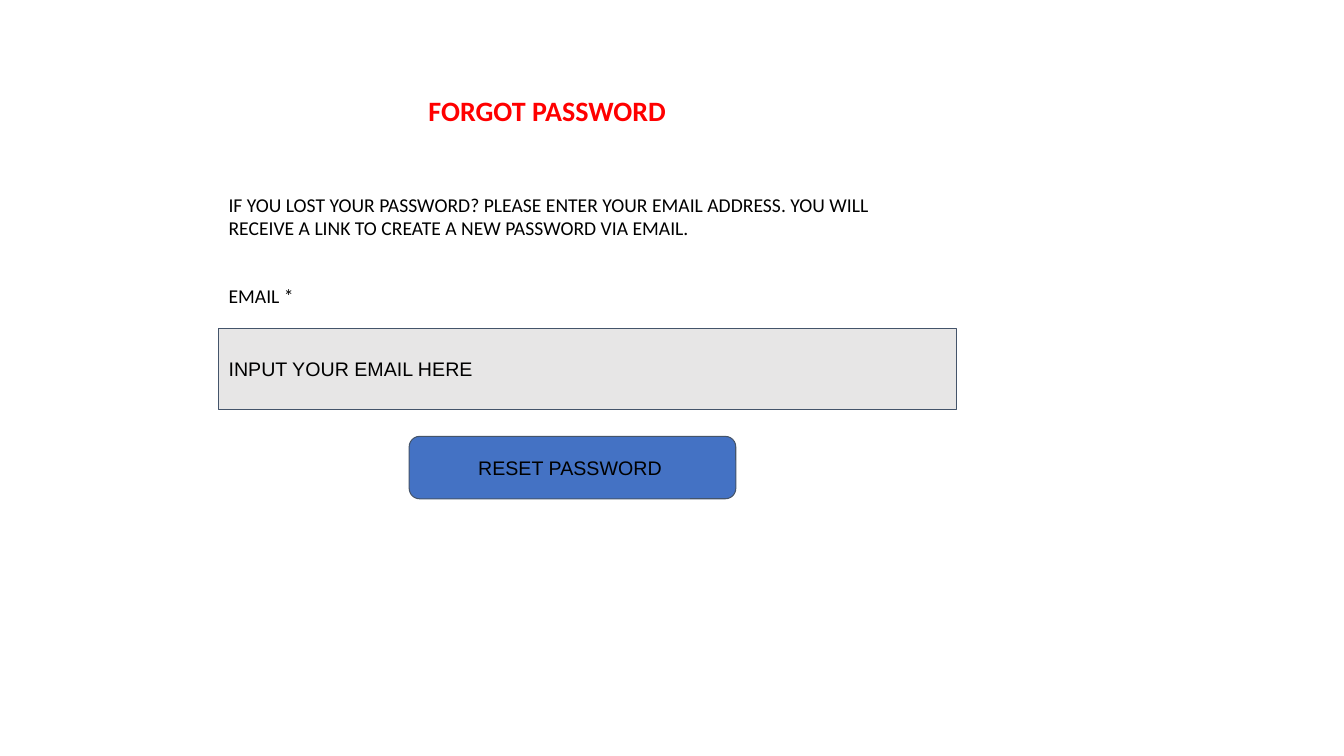
from dataclasses import dataclass

from pptx import Presentation
from pptx.dml.color import RGBColor
from pptx.enum.shapes import MSO_SHAPE
from pptx.enum.text import MSO_ANCHOR, MSO_AUTO_SIZE, PP_ALIGN
from pptx.util import Pt


@dataclass(frozen=True)
class Theme:
    heading: RGBColor = RGBColor(0xFF, 0x00, 0x00)
    text: RGBColor = RGBColor(0x00, 0x00, 0x00)
    field: RGBColor = RGBColor(0xE7, 0xE6, 0xE6)
    button: RGBColor = RGBColor(0x44, 0x72, 0xC4)
    outline: RGBColor = RGBColor(0x44, 0x54, 0x6A)
    label_font: str = "Calibri"
    control_font: str = "Arial"
    heading_size: float = 20
    text_size: float = 14
    line_width: float = 0.75
    inset: float = 7.2


THEME = Theme()


@dataclass(frozen=True)
class Box:
    left: float
    top: float
    width: float
    height: float

    def inner(self, left, top, width, height):
        """Return a box placed relative to this one."""
        return Box(self.left + left, self.top + top, width, height)

    def lengths(self):
        return Pt(self.left), Pt(self.top), Pt(self.width), Pt(self.height)


def write_text(shape, text, font_name, size=THEME.text_size, color=THEME.text,
               bold=False, anchor=MSO_ANCHOR.TOP):
    frame = shape.text_frame
    frame.word_wrap = True
    frame.auto_size = MSO_AUTO_SIZE.NONE
    frame.vertical_anchor = anchor
    frame.margin_left = frame.margin_right = Pt(THEME.inset)
    frame.margin_top = frame.margin_bottom = Pt(THEME.inset)
    frame.text = text
    paragraph = frame.paragraphs[0]
    paragraph.alignment = PP_ALIGN.LEFT
    paragraph.font.name = font_name
    paragraph.font.size = Pt(size)
    paragraph.font.bold = bold
    paragraph.font.color.rgb = color
    return paragraph


def add_label(slide, box, text):
    label = slide.shapes.add_textbox(*box.lengths())
    write_text(label, text, THEME.label_font)


def add_control(slide, box, preset, fill, text):
    control = slide.shapes.add_shape(preset, *box.lengths())
    control.shadow.inherit = False
    control.fill.solid()
    control.fill.fore_color.rgb = fill
    control.line.color.rgb = THEME.outline
    control.line.width = Pt(THEME.line_width)
    return write_text(control, text, THEME.control_font, anchor=MSO_ANCHOR.MIDDLE)


def place_title(slide, box):
    title = slide.shapes.title
    title.left, title.top, title.width, title.height = box.lengths()
    write_text(title, "FORGOT PASSWORD", THEME.label_font, THEME.heading_size,
               THEME.heading, bold=True)


def add_reset_form(slide, box):
    # Instructions and field label
    add_label(slide, box.inner(0, 0, 480.2, 48.2),
              "IF YOU LOST YOUR PASSWORD? PLEASE ENTER YOUR EMAIL ADDRESS. "
              "YOU WILL RECEIVE A LINK TO CREATE A NEW PASSWORD VIA EMAIL.")
    add_label(slide, box.inner(0, 65.5, 198, 31.7), "EMAIL *")

    # Email field
    add_control(slide, box.inner(0, 104.4, box.width, 57.6), MSO_SHAPE.RECTANGLE,
                THEME.field, "INPUT YOUR EMAIL HERE")

    # Reset button, its caption indented from the left edge
    caption = add_control(slide, box.inner(136.1, 181.4, 233.3, 44.6),
                          MSO_SHAPE.ROUNDED_RECTANGLE, THEME.button,
                          "RESET PASSWORD")
    caption._p.get_or_add_pPr().set("indent", str(Pt(40)))


def main():
    presentation = Presentation()
    presentation.slide_width = Pt(960)
    presentation.slide_height = Pt(540)
    title_only = presentation.slide_layouts[5]
    slide = presentation.slides.add_slide(title_only)
    place_title(slide, Box(298.8, 59.8, 396.7, 38.9))
    add_reset_form(slide, Box(156.2, 130.3, 527, 226))
    presentation.save("out.pptx")


if __name__ == "__main__":
    main()
